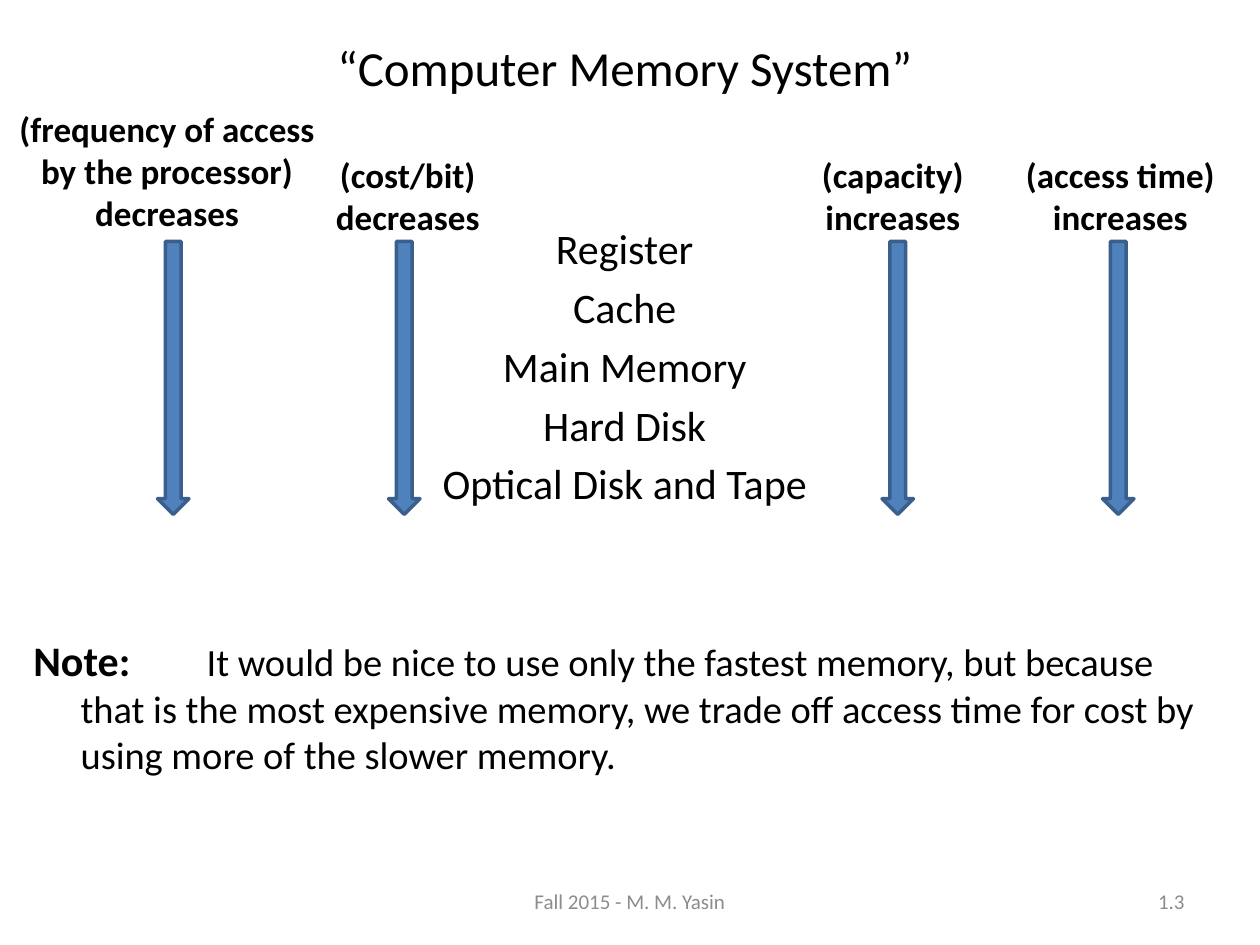
from pptx import Presentation
from pptx.dml.color import RGBColor
from pptx.enum.shapes import MSO_SHAPE
from pptx.enum.text import MSO_ANCHOR, PP_ALIGN
from pptx.util import Pt

DOWN = MSO_SHAPE.DOWN_ARROW
TOP, MIDDLE = MSO_ANCHOR.TOP, MSO_ANCHOR.MIDDLE
LEFT, CENTER, RIGHT = PP_ALIGN.LEFT, PP_ALIGN.CENTER, PP_ALIGN.RIGHT
BLACK, GREY, BLUE, NAVY = "000000", "8C8C8C", "4F81BD", "3A5F8C"

LEVELS = ["Register", "Cache", "Main Memory", "Hard Disk",
          "Optical Disk and Tape"]
NOTE = ("It would be nice to use only the fastest memory, but because that is "
        "the most expensive memory, we trade off access time for cost by "
        "using more of the slower memory.")
# label lines, label box, left of arrow
TRENDS = [
    (["(frequency of access", "by the processor)", "decreases"],
     (0, 57.8, 191, 80), 90),
    (["(cost/bit)", "decreases"], (184, 84, 98, 55.7), 222),
    (["(capacity)", "increases"], (462, 84, 96.4, 55.7), 504),
    (["(access time)", "increases"], (578.7, 84, 123, 55.7), 630),
]


def color(code):
    return RGBColor.from_string(code)


def style(run, size, code=BLACK, bold=False):
    form = {"name": "Calibri", "size": Pt(size), "bold": bold}
    for key, value in form.items():
        setattr(run.font, key, value)
    run.font.color.rgb = color(code)


def add_text(slide, box, lines, size, code=BLACK, bold=False, align=CENTER,
             anchor=TOP, wrap=True, gap=0):
    """Add a text box with one paragraph per line and return its frame."""
    frame = slide.shapes.add_textbox(*map(Pt, box)).text_frame
    frame.word_wrap = wrap
    frame.vertical_anchor = anchor
    for i, line in enumerate(lines):
        para = frame.add_paragraph() if i else frame.paragraphs[0]
        para.alignment = align
        para.space_after = Pt(gap)
        run = para.add_run()
        run.text = line
        style(run, size, code, bold)
    return frame


def add_trend(slide, lines, box, left):
    arrow = slide.shapes.add_shape(DOWN, Pt(left), Pt(138), Pt(18), Pt(156))
    arrow.shadow.inherit = False
    arrow.fill.solid()
    arrow.fill.fore_color.rgb = color(BLUE)
    arrow.line.color.rgb = color(NAVY)
    arrow.line.width = Pt(2)
    add_text(slide, box, lines, 20, bold=True, wrap=False)


def add_note(slide, box):
    """Add the note with a hanging indent and a wide tab after its heading."""
    frame = add_text(slide, box, ["Note:\t"], 24, bold=True, align=LEFT)
    para = frame.paragraphs[0]
    props = para._p.get_or_add_pPr()
    form = {"marL": Pt(27), "indent": Pt(-27), "defTabSz": Pt(72)}
    for key, value in form.items():
        props.set(key, str(int(value)))
    run = para.add_run()
    run.text = NOTE
    style(run, 22)


def add_footer(slide, top, height):
    add_text(slide, (246, top, 228, height), ["Fall 2015 - M. M. Yasin"], 12,
             GREY, anchor=MIDDLE)
    add_text(slide, (516, top, 168, height), ["1.3"], 12, GREY, align=RIGHT,
             anchor=MIDDLE)


def main():
    deck = Presentation()
    deck.slide_width, deck.slide_height = Pt(720), Pt(540)
    slide = deck.slides.add_slide(deck.slide_layouts[6])
    left, width = 12, 690
    add_text(slide, (left, 18, width, 42), ["“Computer Memory System”"], 28)
    add_text(slide, (left, 123.7, width, 174), LEVELS, 24, gap=4.8)
    add_note(slide, (left, 359, width, 92))
    for trend in TRENDS:
        add_trend(slide, *trend)
    add_footer(slide, 500.5, 28.8)
    deck.save("out.pptx")


if __name__ == "__main__":
    main()
